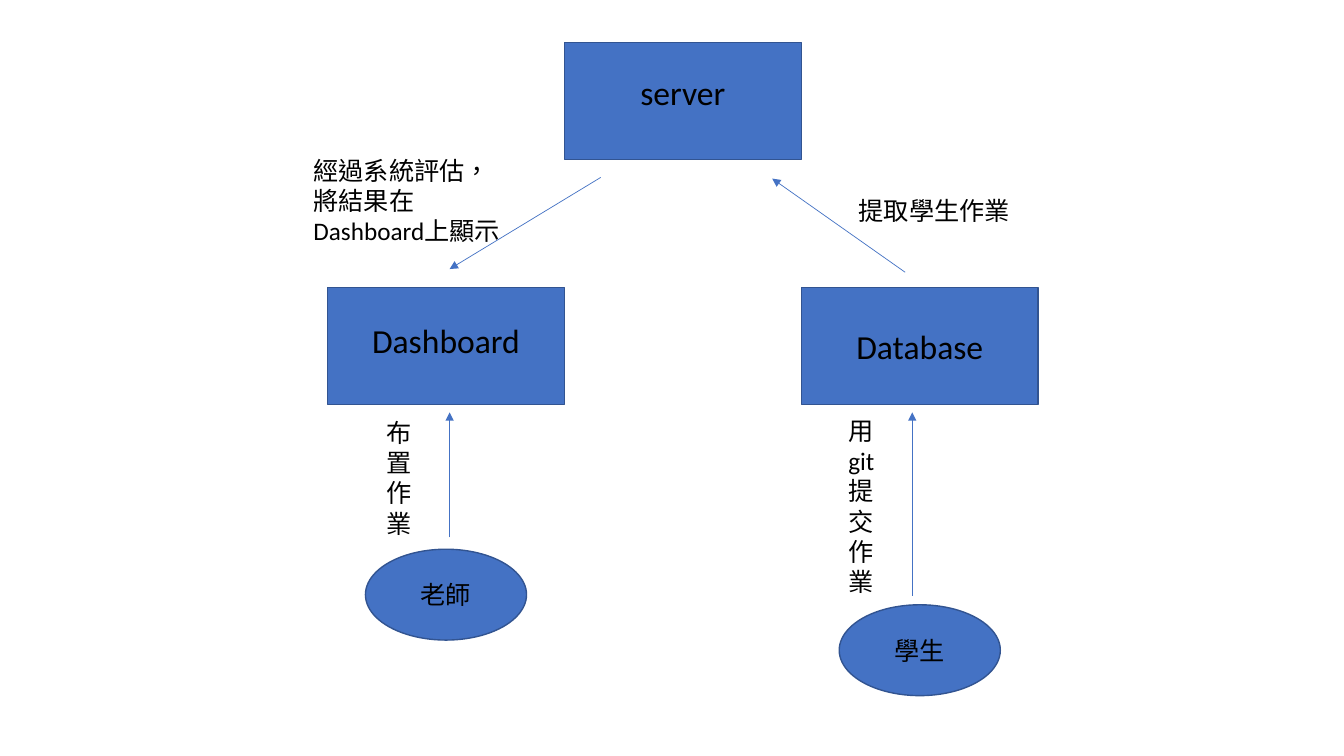
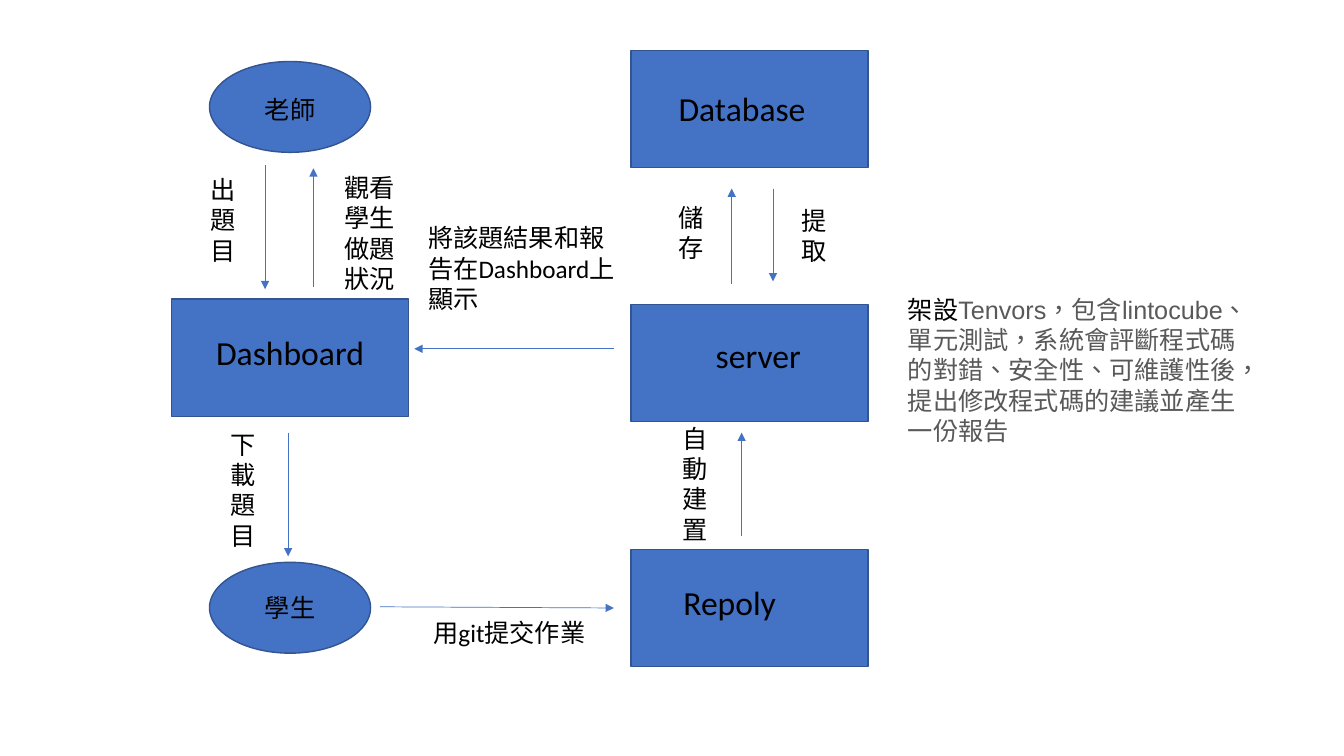
from lxml import etree
from pptx import Presentation
from pptx.dml.color import RGBColor
from pptx.enum.dml import MSO_FILL
from pptx.enum.lang import MSO_LANGUAGE_ID
from pptx.enum.shapes import MSO_CONNECTOR, MSO_SHAPE
from pptx.enum.text import MSO_AUTO_SIZE, PP_ALIGN
from pptx.oxml.ns import qn
from pptx.util import Cm, Pt

BLUE, OUTLINE, BLACK, GREY = "4472C4", "325491", "000000", "595959"
BODY = {"name": "Calibri", "size": Pt(18), "language_id": MSO_LANGUAGE_ID.TRADITIONAL_CHINESE}
HEADING = {**BODY, "size": Pt(24)}
REPORT = {**BODY, "name": "Arial"}
NODES = {
    "box": {"shape": MSO_SHAPE.RECTANGLE, "size": (5.97, 2.95),
            "label": (4.52, 1.27), "font": HEADING},
    "person": {"shape": MSO_SHAPE.OVAL, "size": (4.06, 2.29),
               "label": (2.79, 1.02), "font": BODY},
}


def set_color(target, value):
    """Give a fill or a font colour its hex value."""
    target.rgb = RGBColor.from_string(value)


def add_text(s, box, paragraphs, align=PP_ALIGN.LEFT):
    """Add a wrapping text box; each paragraph lists (text, font, colour) runs."""
    tf = s.shapes.add_textbox(*map(Cm, box)).text_frame
    for name, value in {"word_wrap": True, "auto_size": MSO_AUTO_SIZE.SHAPE_TO_FIT_TEXT}.items():
        setattr(tf, name, value)
    for i, runs in enumerate(paragraphs):
        p = tf.add_paragraph() if i else tf.paragraphs[0]
        p.alignment = align
        for text, font, color in runs:
            r = p.add_run()
            r.text = text
            for name, value in font.items():
                setattr(r.font, name, value)
            set_color(r.font.color, color)


def add_node(s, kind, center, top, text, drop, shift=0):
    """Add a node around a column centre, with its label dropped from its top."""
    style = NODES[kind]
    width, height = style["size"]
    sp = s.shapes.add_shape(style["shape"], *map(Cm, (center - width / 2, top, width, height)))
    sp.shadow.inherit = False
    sp.fill.solid()
    set_color(sp.fill.fore_color, BLUE)
    set_color(sp.line.color, OUTLINE)
    sp.line.width = Pt(1)
    width, height = style["label"]
    add_text(s, (center + shift - width / 2, top + drop, width, height),
             [[(text, style["font"], BLACK)]], PP_ALIGN.CENTER)


def add_arrow(s, *ends):
    """Add a thin arrow pointing at its second end."""
    line = s.shapes.add_connector(MSO_CONNECTOR.STRAIGHT, *map(Cm, ends))
    set_color(line.line.color, BLUE)
    line.line.width = Pt(0.5)
    etree.SubElement(line.line._get_or_add_ln(), qn("a:tailEnd"), type="triangle")
    etree.SubElement(line._element.spPr, qn("a:effectLst"))


def add_diagram(prs, nodes, arrows, notes):
    """Add a slide holding one flow diagram."""
    s = prs.slides.add_slide(prs.slide_layouts[6])
    for node in nodes:
        add_node(s, *node)
    for ends in arrows:
        add_arrow(s, *ends)
    for box, *lines in notes:
        add_text(s, box, [[(line, BODY, BLACK)] for line in lines])
    return s


def add_homework_flow(prs):
    """Add the slide on handing homework in and grading it."""
    left, middle, right = (11.24 + 5.97 * i for i in range(3))
    nodes = [
        ("box", middle, 1.07, "server", 0.61),
        ("box", left, 7.24, "Dashboard", 0.69),
        ("box", right, 7.24, "Database", 0.84),
        ("person", left, 13.84, "老師", 0.64),
        ("person", right, 15.24, "學生", 0.64),
    ]
    arrows = [
        (22.99, 15.01, 22.99, 10.39),
        (11.33, 13.54, 11.33, 10.39),
        (22.81, 6.86, 19.46, 4.5),
        (15.14, 4.47, 11.33, 6.78),
    ]
    notes = [
        ((21.13, 10.34, 1.65, 4.88), "用git提交作業"),
        ((9.5, 10.39, 1.32, 3.33), "布置作業"),
        ((21.39, 4.8, 4.42, 1.02), "提取學生作業"),
        ((7.65, 3.78, 5.23, 2.57), "經過系統評估，", "將結果在Dashboard上顯示"),
    ]
    add_diagram(prs, nodes, arrows, notes)


def add_build_flow(prs):
    """Add the slide on building, testing and reporting."""
    left, right = 7.31, 18.89
    nodes = [
        ("person", left, 1.55, "老師", 0.69),
        ("box", left, 7.54, "Dashboard", 0.69),
        ("person", left, 14.17, "學生", 0.64),
        ("box", right, 1.27, "Database", 0.81, -0.19),
        ("box", right, 7.67, "server", 0.64, 0.22),
        ("box", right, 13.84, "Repoly", 0.71, -0.5),
    ]
    arrows = [
        (6.68, 4.17, 6.68, 7.29),
        (7.9, 7.24, 7.9, 4.24),
        (7.26, 10.9, 7.26, 14.02),
        (9.58, 15.29, 15.47, 15.32),
        (18.69, 13.51, 18.69, 10.9),
        (18.44, 7.16, 18.44, 4.75),
        (19.48, 4.75, 19.48, 7.09),
        (15.47, 8.79, 10.44, 8.79),
    ]
    notes = [
        ((5.05, 4.27, 1.42, 2.57), "出題目"),
        ((8.43, 4.22, 1.85, 3.33), "觀看學生做題狀況"),
        ((5.56, 10.69, 1.42, 3.33), "下載題目"),
        ((10.67, 15.44, 4.55, 1.02), "用git提交作業"),
        ((16.94, 10.54, 1.37, 3.33), "自動建置"),
        ((16.84, 4.98, 1.02, 1.8), "儲存"),
        ((19.94, 5.05, 1.02, 1.8), "提取"),
        ((10.54, 5.49, 5.23, 2.57), "將該題結果和報告在Dashboard上顯示"),
    ]
    s = add_diagram(prs, nodes, arrows, notes)
    report = ("Tenvors，包含lintocube、單元測試，系統會評斷程式碼的對錯、安全性、"
              "可維護性後，提出修改程式碼的建議並產生一份報告")
    add_text(s, (22.63, 7.29, 9.09, 4.11), [[("架設", BODY, BLACK), (report, REPORT, GREY)]])


prs = Presentation()
prs.slide_width, prs.slide_height = Cm(33.87), Cm(19.05)
add_homework_flow(prs)
add_build_flow(prs)
prs.save("out.pptx")
